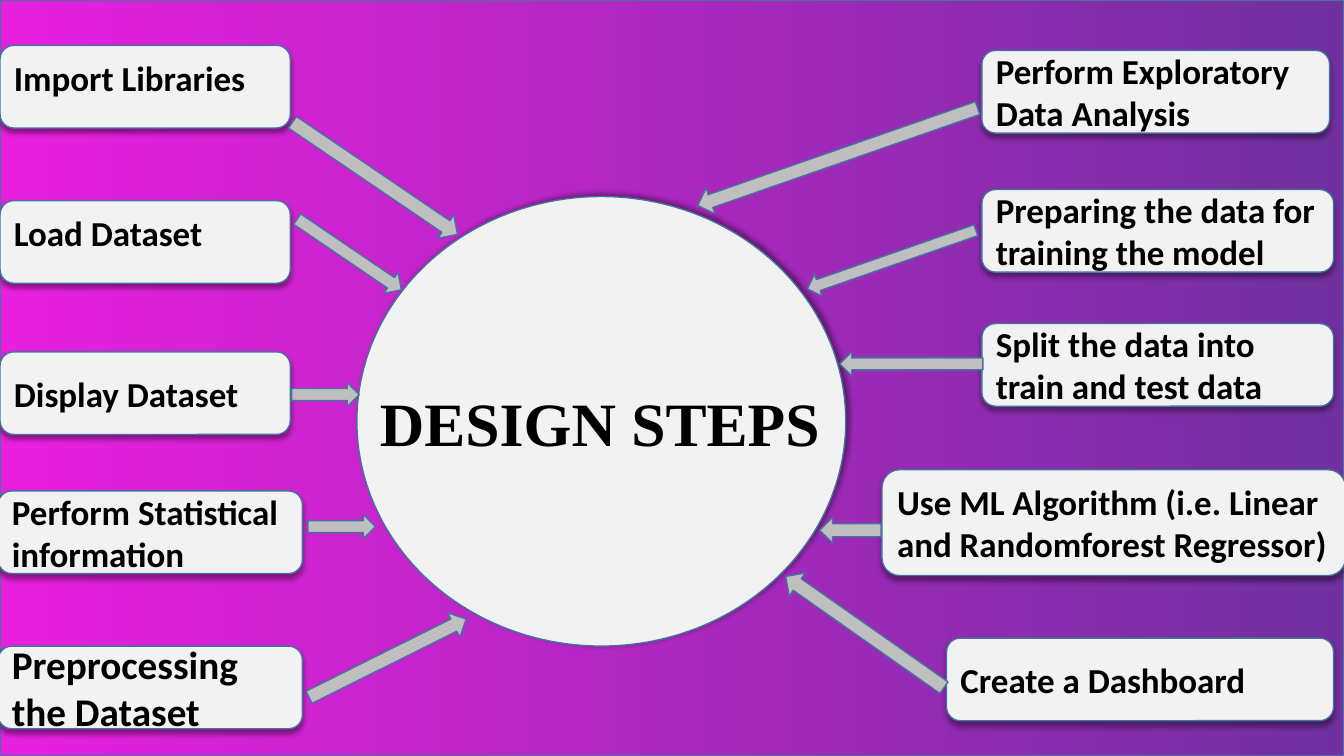
from dataclasses import dataclass, field
from typing import Any

import pptx
import pptx.dml.color
import pptx.enum.shapes
import pptx.enum.text
import pptx.oxml
import pptx.oxml.ns
import pptx.util

ShapeKind = pptx.enum.shapes.MSO_SHAPE
Anchor = pptx.enum.text.MSO_ANCHOR

# The slide is a square grid of 133.33 columns by 75 rows.
COLUMNS, ROWS = 133.33, 75
CELL = pptx.util.Inches(0.1)
BOX_ROWS = 8.2


@dataclass(frozen=True)
class Theme:
    gradient: tuple[str, str] = ("E91FDF", "7030A0")
    panel: str = "F2F2F2"
    arrow: str = "BFBFBF"
    outline: str = "43739E"
    text: str = "000000"
    body_font: str = "Calibri"
    title_font: str = "Times New Roman"
    body_size: float = 25
    large_size: float = 28
    title_size: float = 44
    line_width: float = 1


THEME = Theme()


@dataclass(frozen=True)
class Area:
    column: float
    row: float
    columns: float
    rows: float = BOX_ROWS

    def lengths(self) -> tuple[int, ...]:
        return tuple(grid(n) for n in (self.column, self.row, self.columns, self.rows))


@dataclass(frozen=True)
class Step:
    text: str
    area: Area
    size: float = THEME.body_size
    frame: dict[str, Any] = field(
        default_factory=lambda: {"vertical_anchor": Anchor.MIDDLE})


@dataclass(frozen=True)
class Arrow:
    """A block arrow given by its centre; the angle is clockwise from rightward."""
    column: float
    row: float
    length: float
    thickness: float
    angle: float = 0


def grid(cells: float) -> int:
    return round(cells * CELL)


TOP_FRAME = {"vertical_anchor": Anchor.TOP, "margin_top": grid(0.7)}

STEPS = [
    Step("Import Libraries", Area(0, 4.5, 28.8), frame=TOP_FRAME),
    Step("Load Dataset", Area(0, 19.9, 28.8), frame=TOP_FRAME),
    Step("Display Dataset", Area(0, 34.9, 28.8)),
    Step("Perform Statistical information", Area(-0.2, 48.7, 30.2)),
    Step("Preprocessing the Dataset", Area(-0.2, 64.1, 30.2), THEME.large_size),
    Step("Perform Exploratory Data Analysis", Area(97.4, 5, 34.5)),
    Step("Preparing the data for training the model", Area(97.4, 18.8, 34.9)),
    Step("Split the data into train and test data", Area(97.4, 32.1, 34.9)),
    Step("Use ML Algorithm (i.e. Linear and Randomforest Regressor)",
         Area(87.5, 46.6, 46, 10.5)),
    Step("Create a Dashboard", Area(93.9, 63.3, 38.4)),
]

ARROWS = [
    Arrow(37.2, 17.7, 19.8, 2.8, 34.2),
    Arrow(34.65, 25.25, 12.5, 2.5, 34.2),
    Arrow(32.3, 39.15, 6.7, 2.4),
    Arrow(33.9, 52.25, 6.7, 2.4),
    Arrow(38.45, 65.3, 17.4, 2.7, 333.5),
    Arrow(83.1, 15.55, 29.4, 2.7, 160.8),
    Arrow(88.45, 25.75, 17.7, 2.3, 160.8),
    Arrow(90.4, 36.1, 14.2, 2.4, 180),
    Arrow(84.35, 52.6, 6.1, 2.6, 180),
    Arrow(85.8, 62.7, 19.2, 2.8, 215.1),
]


def rgb(value: str) -> pptx.dml.color.RGBColor:
    return pptx.dml.color.RGBColor.from_string(value)


def set_all(target: Any, values: dict[str, Any]) -> None:
    for name, value in values.items():
        setattr(target, name, value)


def add_outlined(slide: Any, kind: Any, area: Area, fill: str | None = None) -> Any:
    shape = slide.shapes.add_shape(kind, *area.lengths())
    shape.shadow.inherit = False
    shape.line.color.rgb = rgb(THEME.outline)
    shape.line.width = pptx.util.Pt(THEME.line_width)
    if fill:
        shape.fill.solid()
        shape.fill.fore_color.rgb = rgb(fill)
    return shape


def add_shadow(shape: Any, degrees: int) -> None:
    effects = shape._element.spPr.find(pptx.oxml.ns.qn("a:effectLst"))
    effects.append(pptx.oxml.parse_xml(
        f'<a:outerShdw {pptx.oxml.ns.nsdecls("a")} blurRad="{pptx.util.Pt(4)}" '
        f'dist="{pptx.util.Pt(3)}" dir="{degrees * 60000}" rotWithShape="0">'
        '<a:srgbClr val="000000"><a:alpha val="40000"/></a:srgbClr></a:outerShdw>'))


def write(shape: Any, text: str, font: str, size: float, frame: dict[str, Any]) -> None:
    set_all(shape.text_frame, {"word_wrap": True, **frame})
    paragraph = shape.text_frame.paragraphs[0]
    paragraph.alignment = pptx.enum.text.PP_ALIGN.LEFT
    run = paragraph.add_run()
    run.text = text
    set_all(run.font, {"name": font, "size": pptx.util.Pt(size), "bold": True})
    run.font.color.rgb = rgb(THEME.text)


def add_background(slide: Any) -> None:
    shape = add_outlined(slide, ShapeKind.RECTANGLE, Area(0, 0, COLUMNS, ROWS))
    shape.fill.gradient()
    shape.fill.gradient_angle = 0
    for position, (stop, color) in enumerate(zip(shape.fill.gradient_stops, THEME.gradient)):
        stop.position = position
        stop.color.rgb = rgb(color)


def add_step(slide: Any, step: Step) -> None:
    shape = add_outlined(slide, ShapeKind.ROUNDED_RECTANGLE, step.area, THEME.panel)
    add_shadow(shape, 90)
    write(shape, step.text, THEME.body_font, step.size, step.frame)


def add_hub(slide: Any) -> None:
    circle = add_outlined(slide, ShapeKind.OVAL, Area(35.4, 19.5, 48.5, 44.6), THEME.panel)
    add_shadow(circle, 315)
    title = slide.shapes.add_textbox(*Area(36.7, 37.7, 47, 8.4).lengths())
    write(title, "DESIGN STEPS", THEME.title_font, THEME.title_size,
          {"vertical_anchor": Anchor.TOP})


def add_arrow(slide: Any, arrow: Arrow) -> None:
    area = Area(arrow.column - arrow.length / 2, arrow.row - arrow.thickness / 2,
                arrow.length, arrow.thickness)
    add_outlined(slide, ShapeKind.RIGHT_ARROW, area, THEME.arrow).rotation = arrow.angle


def main() -> None:
    presentation = pptx.Presentation()
    set_all(presentation, {"slide_width": grid(COLUMNS), "slide_height": grid(ROWS)})
    slide = presentation.slides.add_slide(presentation.slide_layouts[6])
    add_background(slide)
    for step in STEPS:
        add_step(slide, step)
    add_hub(slide)
    for arrow in ARROWS:
        add_arrow(slide, arrow)
    presentation.save("out.pptx")


if __name__ == "__main__":
    main()
